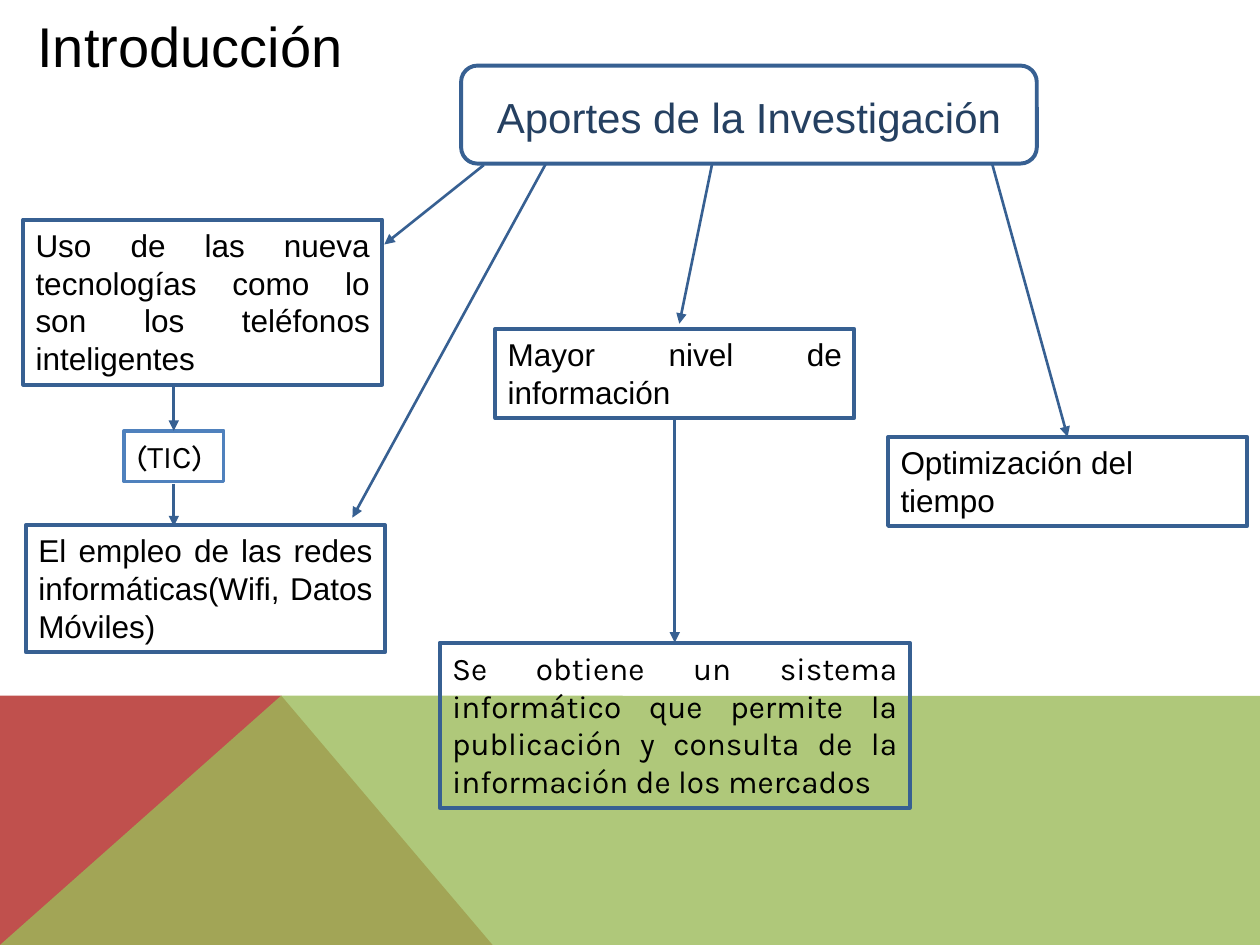
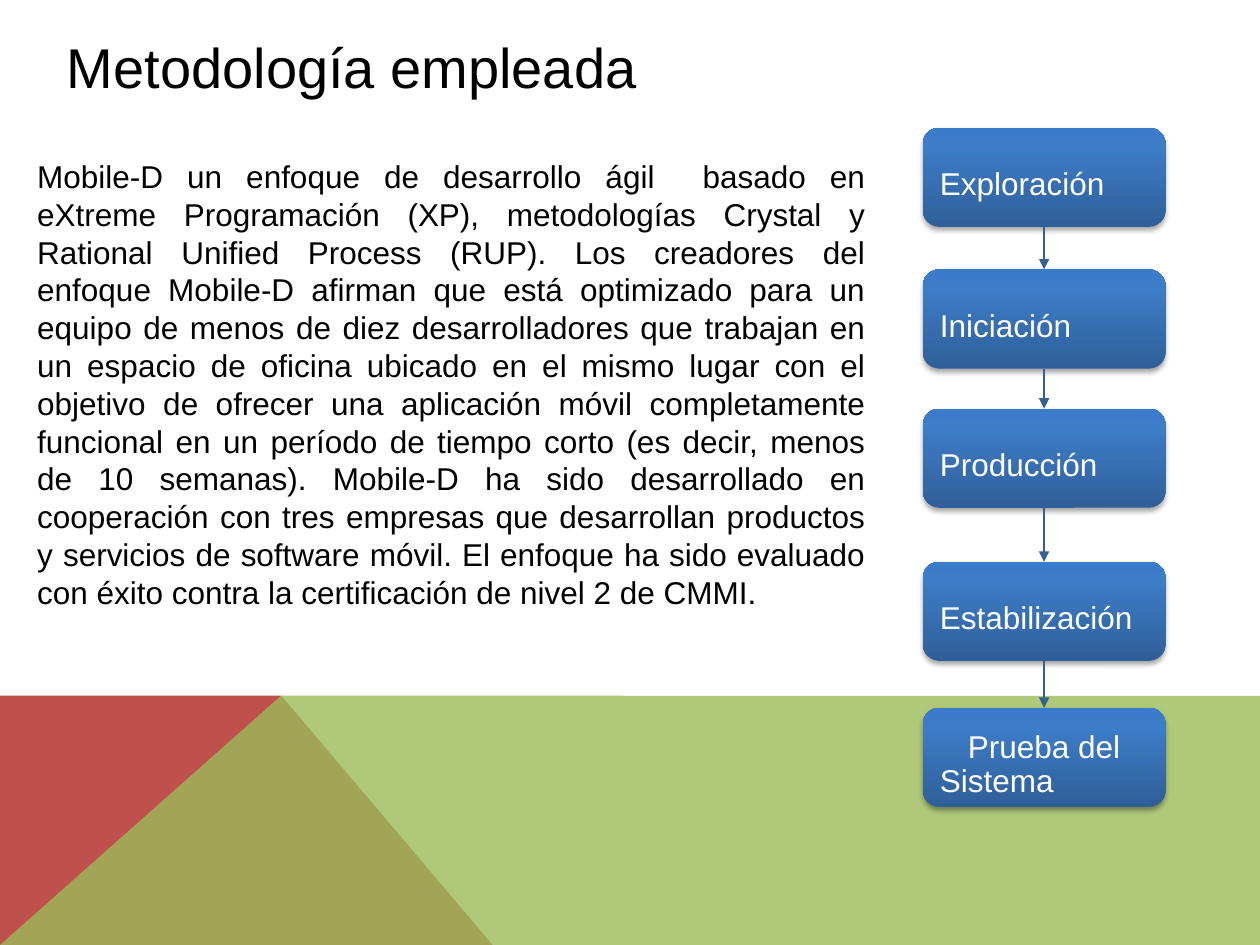
from collections import namedtuple

from pptx import Presentation
from pptx.dml.color import RGBColor
from pptx.enum.shapes import MSO_CONNECTOR, MSO_SHAPE
from pptx.enum.text import MSO_ANCHOR, MSO_AUTO_SIZE, PP_ALIGN
from pptx.oxml import parse_xml
from pptx.oxml.ns import nsdecls, qn
from pptx.oxml.xmlchemy import OxmlElement
from pptx.util import Pt

Box = namedtuple("Box", "left top width height")

COLORS = {
    "red": "C0504D",
    "green": "9BBB59",
    "border": "376092",
    "tic_border": "4F81BD",
    "heading": "254061",
    "black": "000000",
    "white": "FFFFFF",
    "step_dark": "2F5F99",
    "step_mid": "3D7CC7",
    "step_light": "3A7CCB",
}
TOP, BOTTOM = 0, 2
TITLE_ONLY = 5
PAGE = Box(0, 0, 720, 540)
BAND = Box(0, 397.5, 720, 142.5)

FRAME_TOP = {"word_wrap": True, "vertical_anchor": MSO_ANCHOR.TOP,
             "auto_size": MSO_AUTO_SIZE.NONE}
FRAME_GROW = {**FRAME_TOP, "auto_size": MSO_AUTO_SIZE.SHAPE_TO_FIT_TEXT}
FRAME_HEADING = {**FRAME_TOP, "vertical_anchor": MSO_ANCHOR.MIDDLE,
                 "margin_top": Pt(6)}
FRAME_STEP = {**FRAME_TOP, "vertical_anchor": MSO_ANCHOR.MIDDLE,
              "margin_left": Pt(7), "margin_right": Pt(4),
              "margin_top": Pt(9.5), "margin_bottom": Pt(0)}


def rgb(color):
    return RGBColor.from_string(COLORS[color])


def apply_format(target, values):
    for name, value in values.items():
        setattr(target, name, value)


def write_text(shape, text, frame_format, size=18, color="black",
               font="Arial", alignment=PP_ALIGN.LEFT, spacing=1.0):
    frame = shape.text_frame
    apply_format(frame, frame_format)
    paragraph = frame.paragraphs[0]
    apply_format(paragraph, {"alignment": alignment, "line_spacing": spacing})
    run = paragraph.add_run()
    run.text = text
    apply_format(run.font, {"name": font, "size": Pt(size)})
    run.font.color.rgb = rgb(color)
    return paragraph


def place(box, region):
    """Turn a box relative to a region into slide lengths."""
    return (Pt(region.left + box.left), Pt(region.top + box.top),
            Pt(box.width), Pt(box.height))


def add_box(slide, region, box, kind=MSO_SHAPE.RECTANGLE, fill=None,
            border="border", width=2.25):
    shape = slide.shapes.add_shape(kind, *place(box, region))
    shape.shadow.inherit = False
    if fill:
        shape.fill.solid()
        shape.fill.fore_color.rgb = rgb(fill)
    else:
        shape.fill.background()
    shape.line.color.rgb = rgb(border)
    shape.line.width = Pt(width)
    return shape


def add_arrow(slide, region, start=(0, 0), end=(0, 0), source=None, target=None):
    """Draw an arrow; source and target join it to side middles."""
    points = [Pt(origin + offset) for point in (start, end)
              for origin, offset in zip((region.left, region.top), point)]
    arrow = slide.shapes.add_connector(MSO_CONNECTOR.STRAIGHT, *points)
    if source:
        arrow.begin_connect(source, BOTTOM)
    if target:
        arrow.end_connect(target, TOP)
    arrow.line.color.rgb = rgb("border")
    arrow.line.width = Pt(1.5)
    head = OxmlElement("a:tailEnd")
    head.set("type", "triangle")
    arrow.element.spPr.ln.append(head)
    arrow.element.spPr.append(OxmlElement("a:effectLst"))


def add_title(slide, text, box):
    title = slide.shapes.title
    apply_format(title, dict(zip(("left", "top", "width", "height"),
                                 place(box, PAGE))))
    write_text(title, text, FRAME_TOP, size=32)


def add_bands(slide, layout, region):
    """Draw the bottom bands and move them to the shared layout."""
    peak, foot, height = 160.7, 281.5, region.height
    outlines = [
        ("red", [(0, height), (0, 0), (peak, 0), (foot, height)], None),
        ("green", [(0, height), (peak, 0), (region.width, 0.2),
                   (region.width, height)], 80),
    ]
    for index, (color, points, opacity) in enumerate(outlines):
        corners = [(Pt(region.left + x), Pt(region.top + y)) for x, y in points]
        builder = slide.shapes.build_freeform(*corners[0])
        builder.add_line_segments(corners[1:])
        band = builder.convert_to_shape()
        band.shadow.inherit = False
        band.fill.solid()
        band.fill.fore_color.rgb = rgb(color)
        band.line.fill.background()
        if opacity:
            alpha = OxmlElement("a:alpha")
            alpha.set("val", str(opacity * 1000))
            band.element.spPr.find(".//" + qn("a:srgbClr")).append(alpha)
        layout.element.cSld.spTree.insert(2 + index, band.element)


def add_contributions(slide, region):
    """Tree of the contributions of the research."""
    heading = add_box(slide, region, Box(250.5, 0, 329, 56),
                      MSO_SHAPE.ROUNDED_RECTANGLE, "white")
    write_text(heading, "Aportes de la Investigación", FRAME_HEADING,
               24, "heading", alignment=PP_ALIGN.CENTER)

    # Boxes: name, place, text, font, alignment
    justify, left = PP_ALIGN.JUSTIFY, PP_ALIGN.LEFT
    contents = [
        ("phones", Box(0.2, 88, 205.2, 94.3),
         "Uso de las nueva tecnologías como lo son los teléfonos inteligentes",
         "Arial", justify),
        ("networks", Box(1.8, 262.5, 205.2, 72.7),
         "El empleo de las redes informáticas(Wifi, Datos Móviles)",
         "Arial", justify),
        ("information", Box(270, 150.5, 205.2, 50.9),
         "Mayor nivel de información", "Arial", justify),
        ("time", Box(494.5, 212.2, 205.2, 50.9),
         "Optimización del tiempo", "Arial", left),
        ("system", Box(238.3, 329.7, 268.6, 94.3),
         "Se obtiene un sistema informático que permite la publicación y "
         "consulta de la información de los mercados", "Karla", justify),
    ]
    boxes = {}
    for name, box, text, font, alignment in contents:
        boxes[name] = add_box(slide, region, box)
        write_text(boxes[name], text, FRAME_GROW, font=font, alignment=alignment)

    tic = add_box(slide, region, Box(57.8, 208.7, 57, 29), fill="white",
                  border="tic_border", width=2)
    write_text(tic, "(TIC)", FRAME_GROW, font="Karla")

    # Arrows from the heading
    add_arrow(slide, region, (263.5, 56.8), (206.6, 102.2))
    add_arrow(slide, region, (299.2, 55.6), (188.4, 258.3))
    add_arrow(slide, region, (393.8, 56.8), (375.2, 147.5))
    add_arrow(slide, region, (553.8, 55.6), target=boxes["time"])

    # Arrows between the boxes
    add_arrow(slide, region, (86.3, 182.5), target=tic)
    add_arrow(slide, region, (86.3, 239), (86.3, 263.2))
    add_arrow(slide, region, source=boxes["information"], target=boxes["system"])


def style_step(step):
    """Give a step its vertical gradient and soft shadow."""
    step.line.fill.background()
    line = step.element.spPr.ln
    stops = "".join(
        f'<a:gs pos="{position * 1000}"><a:srgbClr val="{COLORS[color]}"/></a:gs>'
        for position, color in ((0, "step_dark"), (80, "step_mid"),
                                (100, "step_light")))
    line.addprevious(parse_xml(
        f'<a:gradFill {nsdecls("a")} rotWithShape="1"><a:gsLst>{stops}</a:gsLst>'
        '<a:lin ang="16200000" scaled="0"/></a:gradFill>'))
    line.addnext(parse_xml(
        f'<a:effectLst {nsdecls("a")}><a:outerShdw blurRad="{Pt(3.1)}" '
        f'dist="{Pt(1.8)}" dir="5400000" rotWithShape="0">'
        f'<a:srgbClr val="{COLORS["black"]}"><a:alpha val="35000"/></a:srgbClr>'
        '</a:outerShdw></a:effectLst>'))


def add_steps(slide, region):
    """Column of steps joined by arrows."""
    steps = [("Exploración", 0, 0), ("Iniciación", 81, 0), ("Producción", 160.5, 0),
             ("Estabilización", 248, 0), ("Prueba del Sistema", 331.5, 16)]
    previous = None
    for text, top, indent in steps:
        step = slide.shapes.add_shape(
            MSO_SHAPE.ROUNDED_RECTANGLE,
            *place(Box(0, top, region.width, 56.7), region))
        style_step(step)
        paragraph = write_text(step, text, FRAME_STEP, color="white", spacing=0.9)
        if indent:
            paragraph._p.get_or_add_pPr().set("indent", str(Pt(indent)))
        if previous:
            add_arrow(slide, region, source=previous, target=step)
        previous = step


def add_description(slide, region):
    description = slide.shapes.add_textbox(*place(region, PAGE))
    write_text(
        description,
        "Mobile-D un enfoque de desarrollo ágil  basado en eXtreme Programación "
        "(XP), metodologías Crystal y Rational Unified Process (RUP). Los "
        "creadores del enfoque Mobile-D afirman que está optimizado para un "
        "equipo de menos de diez desarrolladores que trabajan en un espacio de "
        "oficina ubicado en el mismo lugar con el objetivo de ofrecer una "
        "aplicación móvil completamente funcional en un período de tiempo corto "
        "(es decir, menos de 10 semanas). Mobile-D ha sido desarrollado en "
        "cooperación con tres empresas que desarrollan productos y servicios de "
        "software móvil. El enfoque ha sido evaluado con éxito contra la "
        "certificación de nivel 2 de CMMI.",
        FRAME_GROW, alignment=PP_ALIGN.JUSTIFY)


def main():
    presentation = Presentation()
    presentation.slide_width = Pt(PAGE.width)
    presentation.slide_height = Pt(PAGE.height)
    layout = presentation.slide_layouts[TITLE_ONLY]

    introduction = presentation.slides.add_slide(layout)
    add_bands(introduction, layout, BAND)
    add_title(introduction, "Introducción", Box(14.2, 3, 310, 46))
    add_contributions(introduction, Box(13, 37.5, 700, 424))

    methodology = presentation.slides.add_slide(layout)
    add_title(methodology, "Metodología empleada", Box(31, 15, 341, 46))
    add_description(methodology, Box(14.2, 86.2, 487.4, 269.3))
    add_steps(methodology, Box(527.3, 73, 138.7, 388.2))

    presentation.save("out.pptx")


if __name__ == "__main__":
    main()
